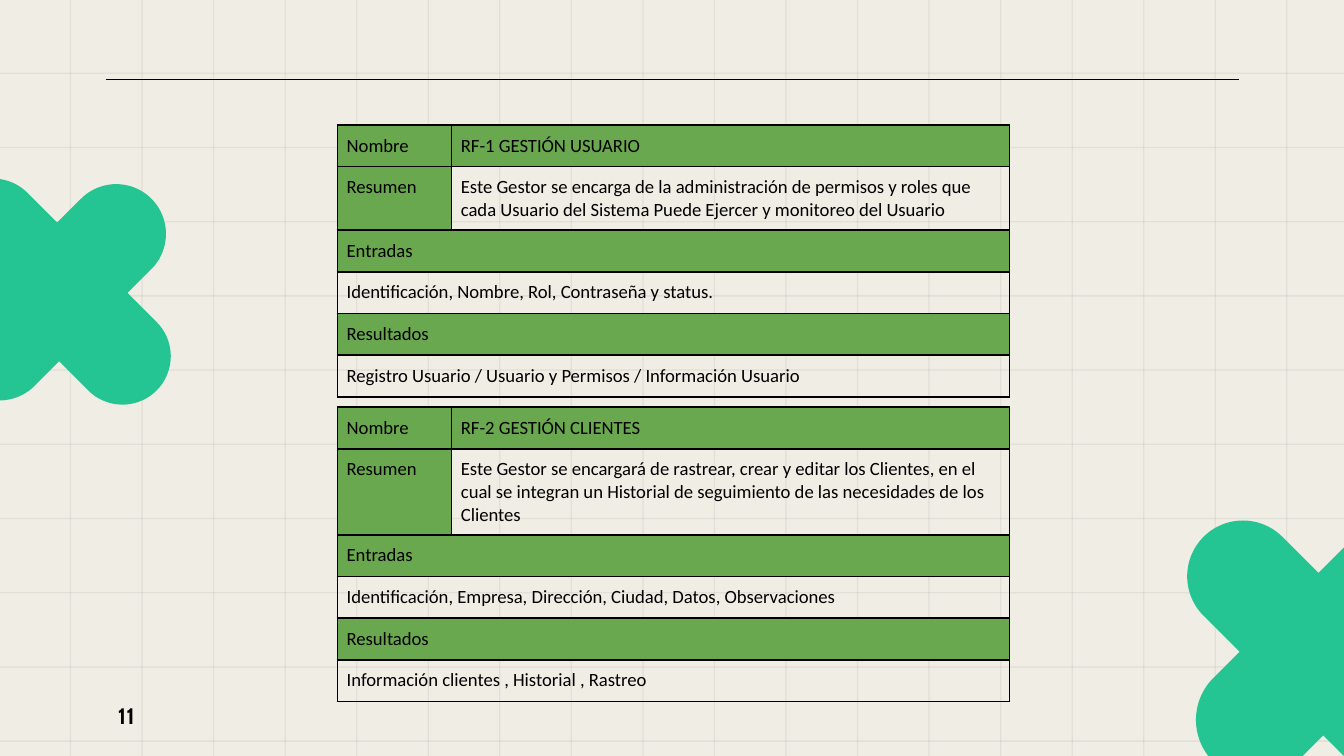
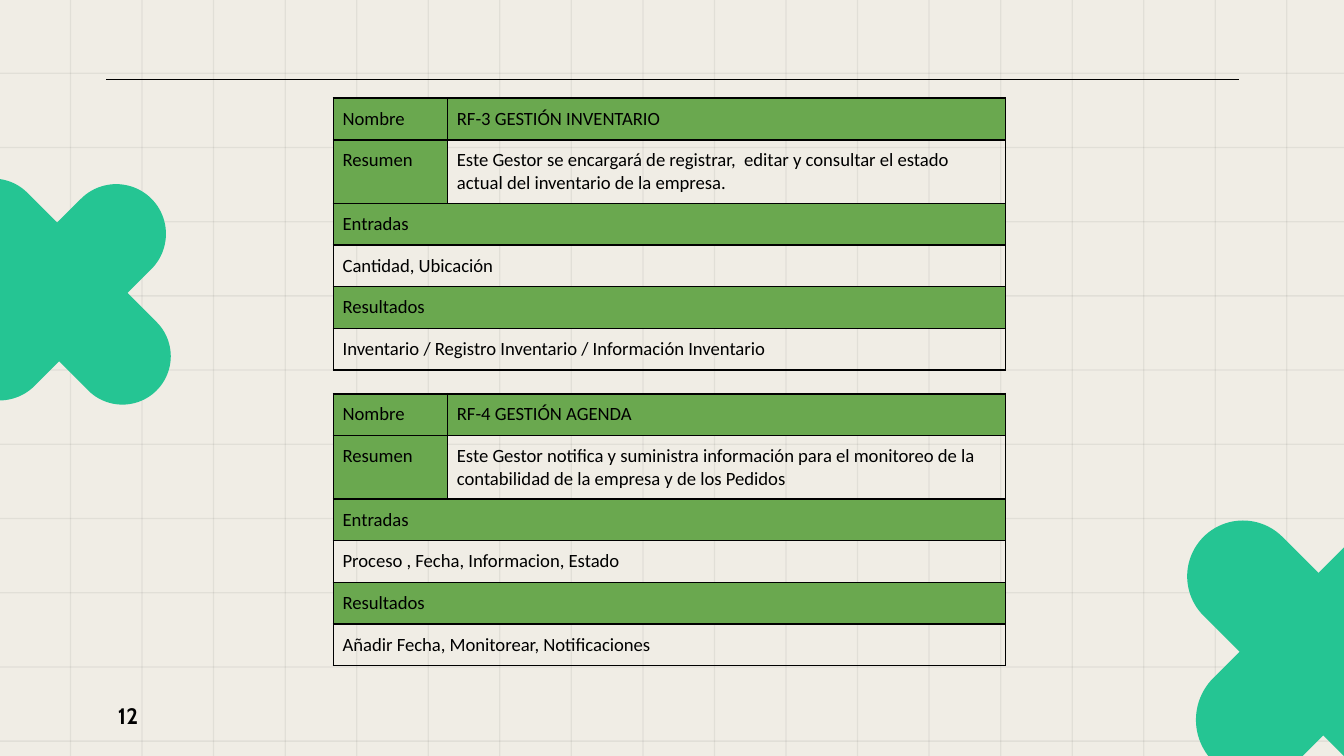
from pptx import Presentation
from pptx.dml.color import RGBColor
from pptx.enum import shapes, text
from pptx.oxml import parse_xml
from pptx.oxml.ns import nsdecls, qn
from pptx.util import Inches, Pt

CREAM = RGBColor(0xF0, 0xED, 0xE5)
BLACK = RGBColor(0, 0, 0)
MINT = RGBColor(0x25, 0xC5, 0x93)
GREEN = RGBColor(0x6A, 0xA8, 0x4F)

# Grid lines: first position, distance to the last, number of steps
COLUMNS = (0.52, 9.05, 17)
ROWS = (0.54, 4.97, 9)
# Two crosses, each of two rounded bars turned by 45 degrees
CROSS_BARS = [
    (0.06, 1.19, 0.74, 1.97),
    (-0.61, 1.81, 2.08, 0.72),
    (9.39, 3.73, 0.88, 2.27),
    (8.59, 4.46, 2.49, 0.83),
]
ROW_H = 0.31

# Slide number and its tables: left, top, height of the summary row, texts
SLIDES = [
    (11, [
        (2.51, 0.93, 0.47, "RF-1 GESTIÓN USUARIO",
         "Este Gestor se encarga de la administración de permisos y roles que "
         "cada Usuario del Sistema Puede Ejercer y monitoreo del Usuario",
         "Identificación, Nombre, Rol, Contraseña y status.",
         "Registro Usuario / Usuario y Permisos / Información Usuario"),
        (2.51, 3.03, 0.64, "RF-2 GESTIÓN CLIENTES",
         "Este Gestor se encargará de rastrear, crear y editar los Clientes, "
         "en el cual se integran un Historial de seguimiento de las "
         "necesidades de los Clientes",
         "Identificación, Empresa, Dirección, Ciudad, Datos, Observaciones",
         "Información clientes , Historial , Rastreo"),
    ]),
    (12, [
        (2.48, 0.73, 0.47, "RF-3 GESTIÓN INVENTARIO",
         "Este Gestor se encargará de registrar,  editar y consultar el "
         "estado actual del inventario de la empresa.",
         "Cantidad, Ubicación ",
         "Inventario / Registro Inventario / Información Inventario"),
        (2.48, 2.93, 0.47, "RF-4 GESTIÓN AGENDA ",
         "Este Gestor notifica y suministra información para el monitoreo de "
         "la contabilidad de la empresa y de los Pedidos ",
         "Proceso , Fecha, Informacion, Estado",
         "Añadir Fecha, Monitorear, Notificaciones "),
    ]),
]


def add_filled(parent, kind, box, color):
    sp = parent.add_shape(kind, *map(Inches, box))
    sp.shadow.inherit = False
    sp.fill.solid()
    sp.fill.fore_color.rgb = color
    sp.line.fill.background()
    return sp


def fill_cell(cell, words, filled):
    """Write one table cell with its fill, insets and black borders."""
    cell.margin_left = cell.margin_right = Inches(0.07)
    cell.margin_top = cell.margin_bottom = Inches(0.07)
    if filled:
        cell.fill.solid()
        cell.fill.fore_color.rgb = GREEN
    else:
        cell.fill.background()
    for i, side in enumerate(("lnL", "lnR", "lnT", "lnB")):
        cell._tc.get_or_add_tcPr().insert(i, parse_xml(
            f'<a:{side} {nsdecls("a")} w="{Pt(1)}"><a:solidFill>'
            f'<a:srgbClr val="{BLACK}"/></a:solidFill></a:{side}>'))
    if words:
        r = cell.text_frame.paragraphs[0].add_run()
        r.text = words
        r.font.size = Pt(10)
        r.font.name = "Calibri"
        r.font.color.rgb = BLACK


prs = Presentation()
prs.slide_width = Inches(10)
prs.slide_height = prs.slide_width * 9 // 16
prs.slide_master.background.fill.solid()
prs.slide_master.background.fill.fore_color.rgb = CREAM

for number, tables in SLIDES:
    s = prs.slides.add_slide(prs.slide_layouts[6])

    # Background grid
    boxes = []
    first, span, steps = COLUMNS
    for i in range(steps + 1):
        boxes.append((first + i * span / steps, -0.05, 0.01, 5.73))
    first, span, steps = ROWS
    for i in range(steps + 1):
        boxes.append((-0.1, first + i * span / steps, 10.2, 0.01))
    grid = s.shapes.add_group_shape()
    for box in boxes:
        sp = add_filled(grid.shapes, shapes.MSO_SHAPE.RECTANGLE, box, BLACK)
        color = sp._element.spPr.find(".//" + qn("a:srgbClr"))
        color.append(parse_xml(f'<a:alpha {nsdecls("a")} val="6000"/>'))

    # Top rule
    rule = s.shapes.add_connector(
        shapes.MSO_CONNECTOR.STRAIGHT,
        Inches(0.79), Inches(0.59), Inches(9.22), Inches(0.59))
    rule.line.color.rgb = BLACK
    rule.line.width = Pt(0.75)
    rule._element.spPr.append(parse_xml(f'<a:effectLst {nsdecls("a")}/>'))

    # Slide number
    sp = s.shapes.add_textbox(
        Inches(0.78), Inches(5.11), Inches(0.6), Inches(0.43))
    tf = sp.text_frame
    tf.word_wrap = True
    tf.vertical_anchor = text.MSO_ANCHOR.MIDDLE
    tf.margin_left = tf.margin_right = Inches(0.1)
    tf.margin_top = tf.margin_bottom = Inches(0.1)
    r = tf.paragraphs[0].add_run()
    r.text = str(number)
    r.font.size = Pt(12)
    r.font.name = "Cabin"
    r.font.bold = True
    r.font.color.rgb = BLACK

    # Crosses at the sides
    for box in CROSS_BARS:
        sp = add_filled(
            s.shapes, shapes.MSO_SHAPE.ROUNDED_RECTANGLE, box, MINT)
        sp.adjustments[0] = 0.5
        sp.rotation = 45

    # Requirement tables
    for left, top, summary_h, name, summary, inputs, results in tables:
        table = s.shapes.add_table(
            6, 2, Inches(left), Inches(top),
            Inches(5), Inches(5 * ROW_H + summary_h)).table
        table.first_row = table.horz_banding = False
        table.columns[0].width = Inches(0.85)
        table.columns[1].width = Inches(4.15)
        for i, row in enumerate(table.rows):
            row.height = Inches(summary_h if i == 1 else ROW_H)
            if i > 1:
                table.cell(i, 0).merge(table.cell(i, 1))

        fill_cell(table.cell(0, 0), "Nombre", True)
        fill_cell(table.cell(0, 1), name, True)
        fill_cell(table.cell(1, 0), "Resumen", True)
        fill_cell(table.cell(1, 1), summary, False)
        wide_rows = ["Entradas", inputs, "Resultados", results]
        for i, words in enumerate(wide_rows):
            fill_cell(table.cell(i + 2, 0), words, i % 2 == 0)
            fill_cell(table.cell(i + 2, 1), "", i % 2 == 0)

prs.save("out.pptx")
